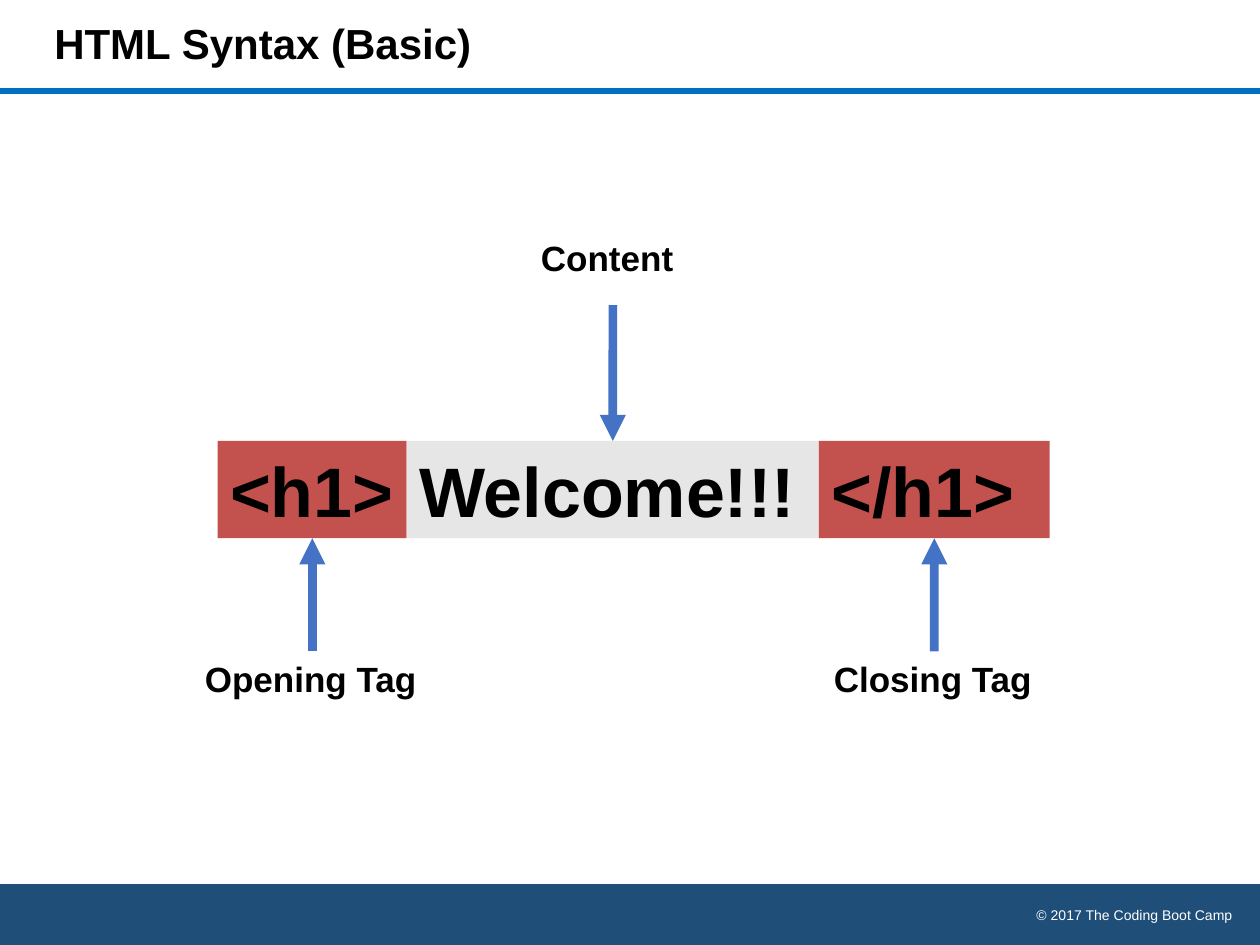
from lxml.etree import SubElement
from pptx import Presentation
from pptx.dml.color import RGBColor
from pptx.enum.shapes import MSO_CONNECTOR, MSO_SHAPE
from pptx.enum.text import MSO_ANCHOR, MSO_AUTO_SIZE as AutoSize, PP_ALIGN
from pptx.oxml.ns import qn
from pptx.util import Cm, Pt

BLACK = RGBColor(0x00, 0x00, 0x00)
WHITE = RGBColor(0xFF, 0xFF, 0xFF)
RED = RGBColor(0xC3, 0x51, 0x4E)
GREY = RGBColor(0xE7, 0xE6, 0xE6)
NAVY = RGBColor(0x1F, 0x4E, 0x79)
RULE_BLUE = RGBColor(0x00, 0x70, 0xC0)
ARROW_BLUE = RGBColor(0x44, 0x72, 0xC4)

SLIDE_WIDTH, SLIDE_HEIGHT = 25.4, 19.05
CODE_LEFT, CODE_TOP, CODE_HEIGHT = 4.39, 8.89, 1.96
LABEL_HEIGHT = 1.12
TOP, BOTTOM = 0, 2


def write_text(shape, text, size, color=BLACK, bold=True, align=PP_ALIGN.LEFT, **frame_format):
    """Put one formatted paragraph into a shape."""
    frame = shape.text_frame
    for name, value in frame_format.items():
        setattr(frame, name, value)
    paragraph = frame.paragraphs[0]
    paragraph.text = text
    paragraph.alignment = align
    font_format = {"name": "Arial", "size": Pt(size), "bold": bold}
    for name, value in font_format.items():
        setattr(paragraph.runs[0].font, name, value)
    paragraph.runs[0].font.color.rgb = color
    return paragraph


def add_block(slide, kind, left, top, width, height, fill):
    """Add a filled shape without outline or shadow."""
    shape = slide.shapes.add_shape(kind, Cm(left), Cm(top), Cm(width), Cm(height))
    shape.shadow.inherit = False
    shape.fill.solid()
    shape.fill.fore_color.rgb = fill
    shape.line.fill.background()
    return shape


def add_label(slide, text, center, top, width):
    """Add a bold label centred on a horizontal position."""
    label = slide.shapes.add_textbox(
        Cm(center - width / 2), Cm(top), Cm(width), Cm(LABEL_HEIGHT))
    write_text(label, text, 20, word_wrap=False, auto_size=AutoSize.SHAPE_TO_FIT_TEXT)
    return label


def add_line(slide, start, end, color, width):
    """Add a straight connector without shadow."""
    line = slide.shapes.add_connector(
        MSO_CONNECTOR.STRAIGHT, *(Cm(value) for value in (*start, *end)))
    line.line.color.rgb = color
    line.line.width = Pt(width)
    SubElement(line._element.spPr, qn("a:effectLst"))
    return line


def add_arrow(slide, center, start_y, end_y, block, side):
    """Add a vertical arrow that points at one side of a block."""
    arrow = add_line(slide, (center, start_y), (center, end_y), ARROW_BLUE, 5)
    SubElement(arrow.line._get_or_add_ln(), qn("a:tailEnd"), type="triangle")
    arrow.end_connect(block, side)
    return arrow


def add_frame(slide):
    """Add the footer band, the copyright line and the header rule."""
    band_top = 17.83
    add_block(slide, MSO_SHAPE.FLOWCHART_PROCESS, 0, band_top,
              SLIDE_WIDTH, SLIDE_HEIGHT - band_top, NAVY)
    footer = slide.shapes.add_textbox(Cm(17.35), Cm(18.16), Cm(7.75), Cm(0.6))
    write_text(footer, "© 2017 The Coding Boot Camp", 8, WHITE, False,
               PP_ALIGN.RIGHT, word_wrap=True)
    add_line(slide, (0, 1.83), (SLIDE_WIDTH, 1.83), RULE_BLUE, 3.25)


def add_title(slide, text):
    """Place and format the title placeholder."""
    title = slide.shapes.title
    box = {"left": 0.84, "top": 0, "width": 19.05, "height": 1.83}
    for name, value in box.items():
        setattr(title, name, Cm(value))
    paragraph = write_text(title, text, 24, word_wrap=True, auto_size=AutoSize.NONE,
                           vertical_anchor=MSO_ANCHOR.MIDDLE)
    paragraph.line_spacing = 0.9


def add_syntax(slide):
    """Add the code blocks side by side, each with its label and arrow."""
    code_bottom = CODE_TOP + CODE_HEIGHT
    parts = [
        ("<h1>", 3.81, RED, "Opening Tag", 4.83, BOTTOM),
        ("Welcome!!!", 8.31, GREY, "Content", 3.4, TOP),
        ("</h1>", 4.65, RED, "Closing Tag", 4.55, BOTTOM),
    ]
    left = CODE_LEFT
    for code, width, fill, name, label_width, side in parts:
        block = add_block(slide, MSO_SHAPE.RECTANGLE, left, CODE_TOP,
                          width, CODE_HEIGHT, fill)
        write_text(block, code, 40, word_wrap=True, vertical_anchor=MSO_ANCHOR.TOP,
                   auto_size=AutoSize.SHAPE_TO_FIT_TEXT)
        center = left + width / 2
        if side == TOP:
            add_label(slide, name, center, 4.65, label_width)
            add_arrow(slide, center, 6.15, CODE_TOP, block, TOP)
        else:
            label_top = 13.13
            label = add_label(slide, name, center, label_top, label_width)
            arrow = add_arrow(slide, center, label_top, code_bottom, block, BOTTOM)
            arrow.begin_connect(label, TOP)
        left += width


def main():
    """Build the slide and save it."""
    presentation = Presentation()
    presentation.slide_width = Cm(SLIDE_WIDTH)
    presentation.slide_height = Cm(SLIDE_HEIGHT)
    slide = presentation.slides.add_slide(presentation.slide_layouts[5])
    add_frame(slide)
    add_title(slide, "HTML Syntax (Basic)")
    add_syntax(slide)
    presentation.save("out.pptx")


if __name__ == "__main__":
    main()
